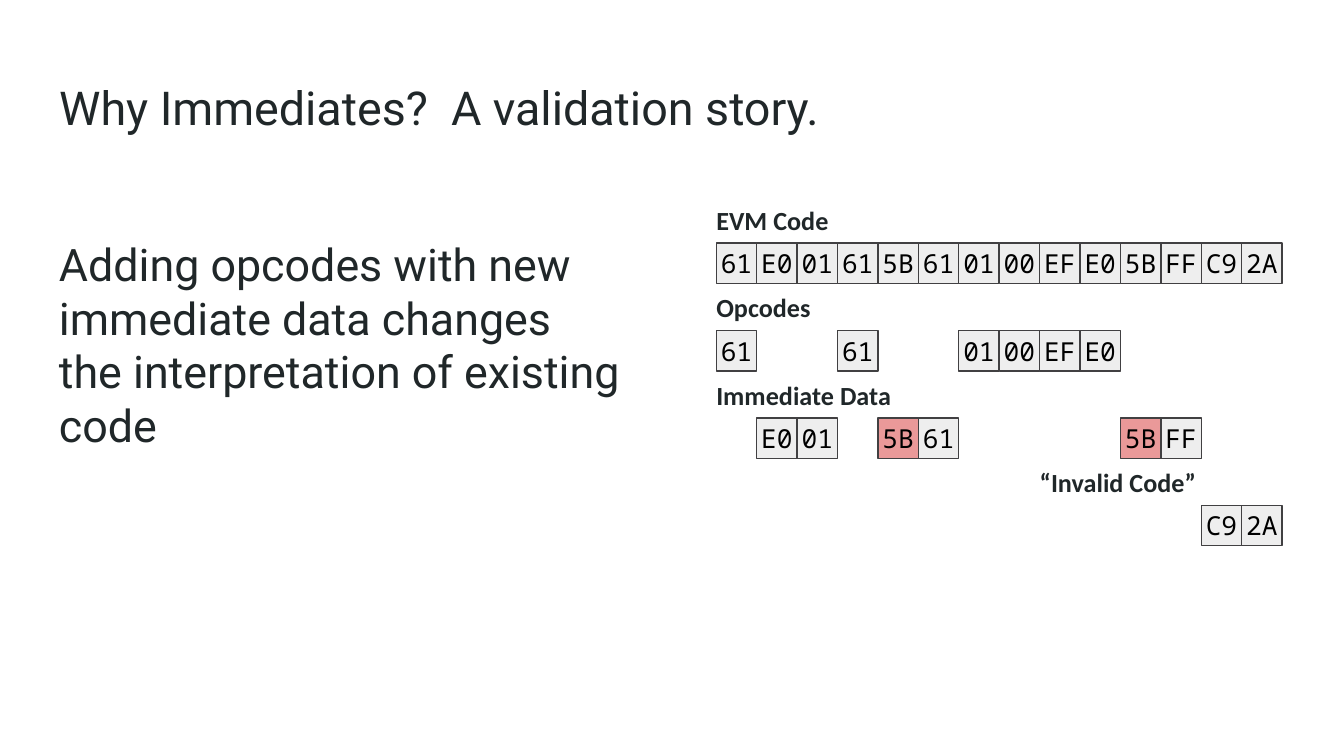
from pptx import Presentation
from pptx.dml.color import RGBColor
from pptx.enum.shapes import MSO_SHAPE
from pptx.enum.text import MSO_ANCHOR, PP_ALIGN
from pptx.util import Inches, Pt

INK = RGBColor(0x20, 0x27, 0x29)
BLACK = RGBColor(0x00, 0x00, 0x00)
GRAY = RGBColor(0xEE, 0xEE, 0xEE)
RED = RGBColor(0xEA, 0x99, 0x99)
BORDER = RGBColor(0x41, 0x40, 0x42)


def set_margins(tf, side, bottom):
    tf.margin_left = tf.margin_right = tf.margin_top = Inches(side)
    tf.margin_bottom = Inches(bottom)
    tf.word_wrap = True


def write(tf, text, font, size, color, bold=False):
    tf.text = text
    p = tf.paragraphs[0]
    p.alignment = PP_ALIGN.LEFT
    r = p.runs[0]
    r.font.name = font
    r.font.size = Pt(size)
    r.font.bold = bold
    r.font.color.rgb = color


# 16:9 slide
prs = Presentation()
prs.slide_width = Inches(10)
prs.slide_height = Inches(10 * 9 / 16)
s = prs.slides.add_slide(prs.slide_layouts[5])

# Title
title = s.shapes.title
title.left, title.top = Inches(0.34), Inches(0.49)
title.width, title.height = Inches(9.32), Inches(0.63)
tf = title.text_frame
set_margins(tf, 0.1, 0.1)
tf.vertical_anchor = MSO_ANCHOR.TOP
write(tf, "Why Immediates?  A validation story.", "Roboto", 25, INK)

# Statement on the left
body = s.shapes.add_textbox(Inches(0.34), Inches(1.66), Inches(4.38), Inches(3.34))
set_margins(body.text_frame, 0.1, 0.1)
write(body.text_frame,
      "Adding opcodes with new immediate data changes "
      "the interpretation of existing code", "Roboto", 24, INK)

# Byte rows: label, label column, label width, columns shown, columns in red
CODE = "61 E0 01 61 5B 61 01 00 EF E0 5B FF C9 2A".split()
LEFT, RIGHT, ROW_GAP = 5.33, 9.54, 0.65
CELL = (RIGHT - LEFT) / len(CODE)
ROWS = [
    ("EVM Code", 0, 3, range(len(CODE)), []),
    ("Opcodes", 0, 3, [0, 3, 6, 7, 8, 9], []),
    ("Immediate Data", 0, 3, [1, 2, 4, 5, 10, 11], [4, 10]),
    ("“Invalid Code”", 8, 1.8, [12, 13], []),
]

for row, (label, label_col, width, columns, red) in enumerate(ROWS):
    y = 1.52 + row * ROW_GAP
    for col in columns:
        sp = s.shapes.add_shape(MSO_SHAPE.RECTANGLE, Inches(LEFT + col * CELL),
                                Inches(y + 0.29), Inches(CELL), Inches(CELL))
        sp.shadow.inherit = False
        sp.fill.solid()
        sp.fill.fore_color.rgb = RED if col in red else GRAY
        sp.line.color.rgb = BORDER
        sp.line.width = Pt(0.75)
        tf = sp.text_frame
        set_margins(tf, 0, 0)
        tf.vertical_anchor = MSO_ANCHOR.MIDDLE
        write(tf, CODE[col], "Noto Sans Mono", 14, BLACK)
        tf.paragraphs[0].alignment = PP_ALIGN.CENTER

    box = s.shapes.add_textbox(Inches(LEFT + label_col * CELL), Inches(y),
                               Inches(width), Inches(0.34))
    set_margins(box.text_frame, 0, 0.1)
    write(box.text_frame, label, "Calibri", 14, INK, bold=True)

prs.save("out.pptx")
